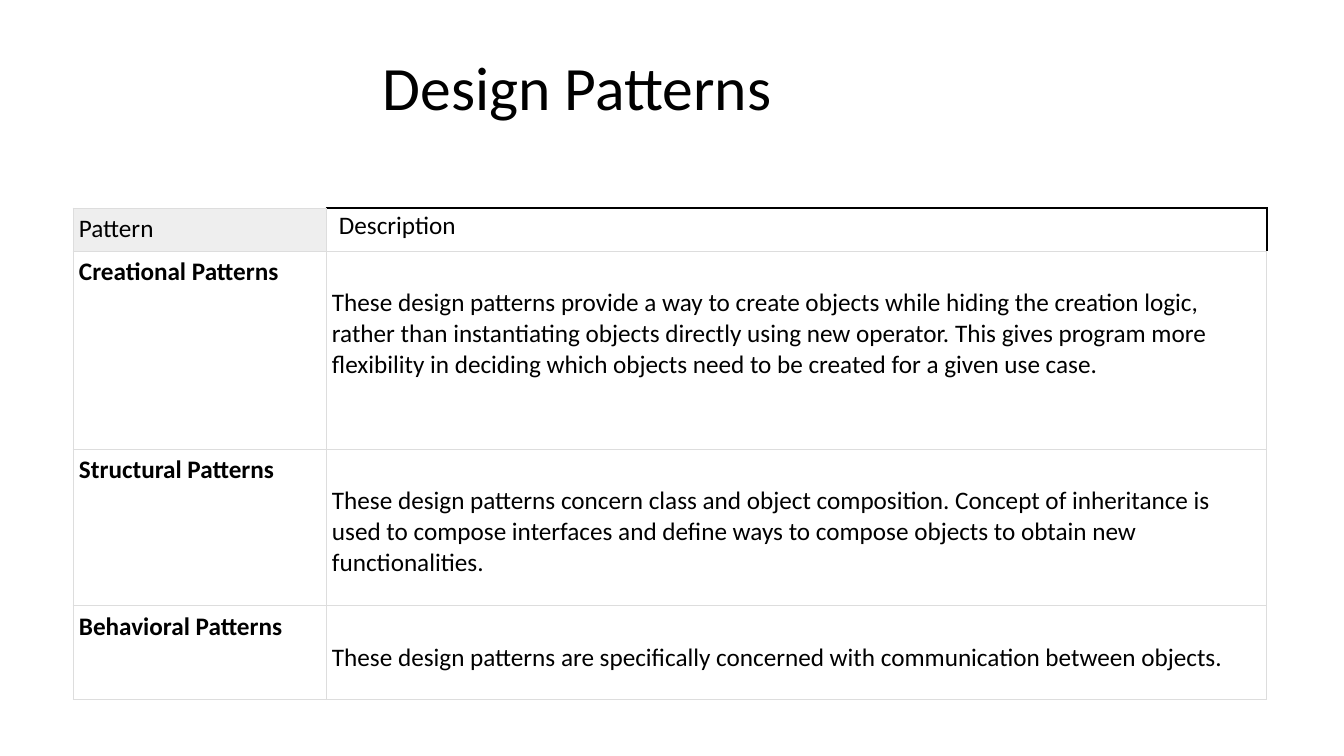
from lxml import etree
from pptx import Presentation
from pptx.dml.color import RGBColor
from pptx.enum.text import MSO_ANCHOR, PP_ALIGN
from pptx.oxml.ns import qn
from pptx.util import Pt

EMU_PER_PX = 914400 / 100.8
FONT = "Calibri"
BLACK = RGBColor(0x00, 0x00, 0x00)
HEADER_GRAY = RGBColor(0xEE, 0xEE, 0xEE)
BORDER_GRAY = RGBColor(0xDD, 0xDD, 0xDD)
LEFT = PP_ALIGN.LEFT
TOP = MSO_ANCHOR.TOP
MIDDLE = MSO_ANCHOR.MIDDLE

COLUMN_WIDTHS = [253, 941]
ROW_HEIGHTS = [43, 198, 157, 94]
GRAY_EDGES = dict.fromkeys("LRTB", (BORDER_GRAY, 0.75))
HEADER_EDGES = GRAY_EDGES | dict.fromkeys("RT", (BLACK, 1))
NAME_MARGINS = (6, 6, 6, 6)
HEADER_MARGINS = (13, 3, 7, 3)
DESCRIPTION_MARGINS = (6, 37, 6, 6)

PATTERNS = [
    ("Creational Patterns",
     "These design patterns provide a way to create objects while hiding the "
     "creation logic, rather than instantiating objects directly using new "
     "operator. This gives program more flexibility in deciding which objects "
     "need to be created for a given use case."),
    ("Structural Patterns",
     "These design patterns concern class and object composition. Concept of "
     "inheritance is used to compose interfaces and define ways to compose "
     "objects to obtain new functionalities."),
    ("Behavioral Patterns",
     "These design patterns are specifically concerned with communication "
     "between objects."),
]


def px(length):
    return round(length * EMU_PER_PX)


def add_span(para, text, size, bold=False):
    span = para.add_run()
    span.text = text
    span.font.name = FONT
    span.font.size = Pt(size)
    span.font.bold = bold
    span.font.color.rgb = BLACK


def set_title(page, text):
    box = page.shapes.title
    box.left, box.top, box.width, box.height = map(px, (73, 40, 1178, 101))
    frame = box.text_frame
    frame.margin_left = px(310)
    frame.vertical_anchor = MIDDLE
    para = frame.paragraphs[0]
    para.alignment = LEFT
    para.line_spacing = 0.9
    add_span(para, text, 44)


def set_borders(cell, edges):
    properties = cell._tc.get_or_add_tcPr()
    for side, (color, width) in edges.items():
        line = etree.SubElement(properties, qn(f"a:ln{side}"), w=str(Pt(width)))
        fill = etree.SubElement(line, qn("a:solidFill"))
        etree.SubElement(fill, qn("a:srgbClr"), val=str(color))


def fill_cell(cell, text, margins, bold=False, edges=GRAY_EDGES, color=None):
    set_borders(cell, edges)
    if color is None:
        cell.fill.background()
    else:
        cell.fill.solid()
        cell.fill.fore_color.rgb = color
    cell.margin_left, cell.margin_top, cell.margin_right, cell.margin_bottom = map(px, margins)
    cell.vertical_anchor = TOP
    add_span(cell.text_frame.paragraphs[0], text, 18, bold)


def add_pattern_table(page):
    frame = page.shapes.add_table(
        len(ROW_HEIGHTS), len(COLUMN_WIDTHS), px(73), px(208),
        px(sum(COLUMN_WIDTHS)), px(sum(ROW_HEIGHTS)))
    table = frame.table
    table.first_row = False
    table.horz_banding = False
    for column, width in zip(table.columns, COLUMN_WIDTHS):
        column.width = px(width)
    for row, height in zip(table.rows, ROW_HEIGHTS):
        row.height = px(height)
    fill_cell(table.cell(0, 0), "Pattern", NAME_MARGINS, color=HEADER_GRAY)
    fill_cell(table.cell(0, 1), "Description", HEADER_MARGINS, edges=HEADER_EDGES)
    for row, (name, description) in enumerate(PATTERNS, start=1):
        fill_cell(table.cell(row, 0), name, NAME_MARGINS, bold=True)
        fill_cell(table.cell(row, 1), description, DESCRIPTION_MARGINS)


def main():
    deck = Presentation()
    deck.slide_width = px(1344)
    deck.slide_height = px(756)
    page = deck.slides.add_slide(deck.slide_layouts[5])
    set_title(page, "Design Patterns")
    add_pattern_table(page)
    deck.save("out.pptx")


if __name__ == "__main__":
    main()
